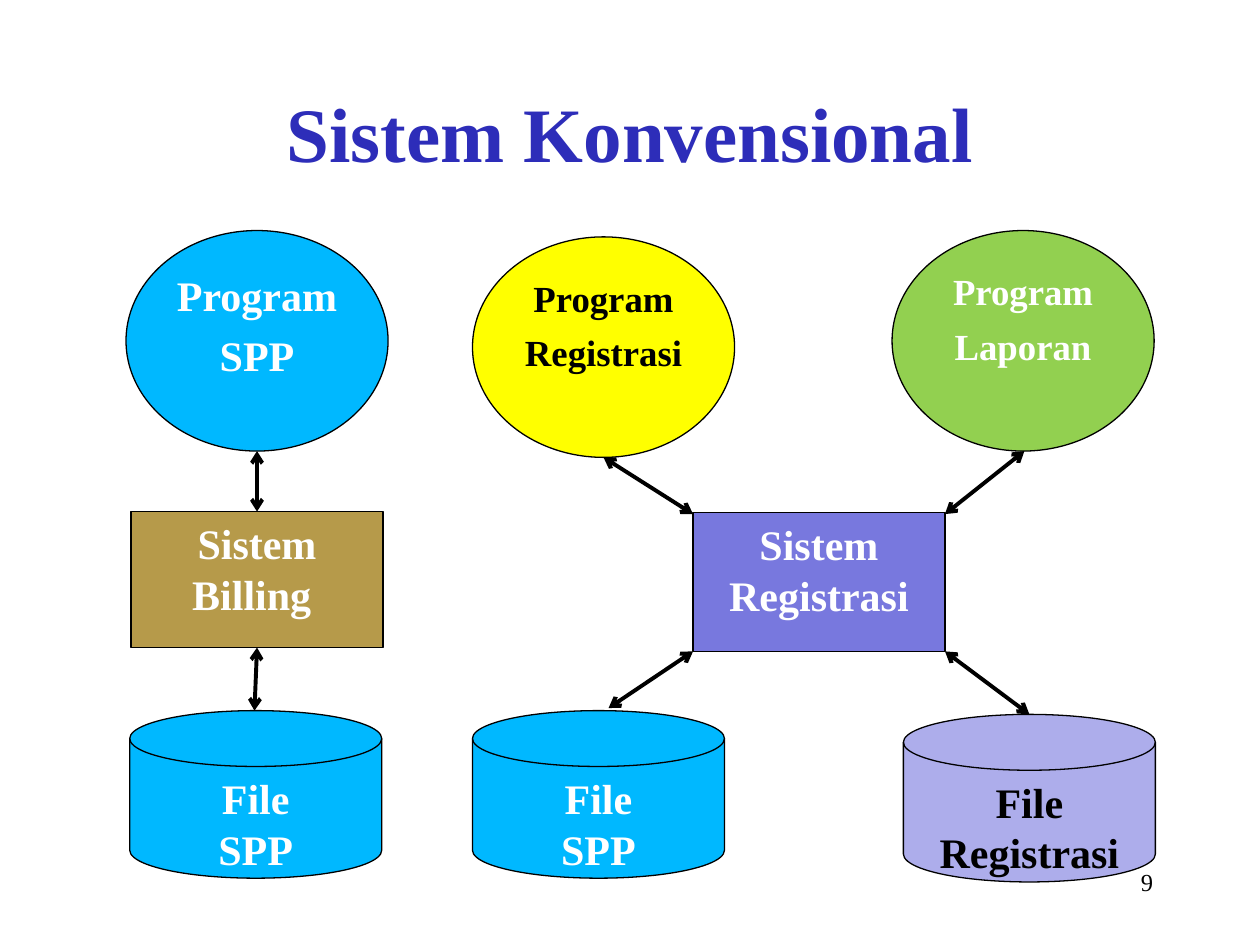
"""Build the slide on conventional systems: programs, systems and their files."""
from lxml import etree
from pptx import Presentation
from pptx.dml.color import RGBColor
from pptx.enum.shapes import MSO_CONNECTOR, MSO_SHAPE
from pptx.enum.text import MSO_ANCHOR, PP_ALIGN
from pptx.oxml.ns import qn
from pptx.util import Pt

PX = 9144
ELLIPSE = MSO_SHAPE.FLOWCHART_CONNECTOR
PROCESS = MSO_SHAPE.FLOWCHART_PROCESS
DISK = MSO_SHAPE.FLOWCHART_MAGNETIC_DISK
STRAIGHT = MSO_CONNECTOR.STRAIGHT
TOP, MIDDLE = MSO_ANCHOR.TOP, MSO_ANCHOR.MIDDLE
CENTER, RIGHT = PP_ALIGN.CENTER, PP_ALIGN.RIGHT

THEME = {
    "font": "Times New Roman",
    "title": "2D2DB9", "black": "000000", "white": "FFFFFF",
    "cyan": "00B8FF", "yellow": "FFFF00", "green": "92D050",
    "gold": "B69A4A", "violet": "7878DE", "lilac": "ADADEB",
    "title_size": 44, "large": 24, "medium": 21, "small": 14,
}


def color(name):
    return RGBColor.from_string(THEME[name])


def write(holder, lines, size, ink, align=CENTER, anchor=TOP, bold=True, gap=0):
    frame = holder.text_frame
    frame.word_wrap = True
    frame.vertical_anchor = anchor
    for index, line in enumerate(lines):
        paragraph = frame.add_paragraph() if index else frame.paragraphs[0]
        paragraph.alignment = align
        paragraph.space_before = Pt(gap if index else 0)
        run = paragraph.add_run()
        run.text = line
        run.font.name = THEME["font"]
        run.font.size = Pt(THEME[size])
        run.font.bold = bold
        run.font.color.rgb = color(ink)


presentation = Presentation()
presentation.slide_width = 1000 * PX
presentation.slide_height = 750 * PX
slide = presentation.slides.add_slide(presentation.slide_layouts[6])

title = slide.shapes.add_textbox(75 * PX, 42 * PX, 850 * PX, 125 * PX)
write(title, ["Sistem Konvensional"], "title_size", "title", anchor=MIDDLE)

nodes = [
    ("registration", PROCESS, (550, 407, 200, 110), "violet", ["Sistem Registrasi"], "large", "white"),
    ("billing", PROCESS, (104, 406, 200, 108), "gold", ["Sistem Billing "], "large", "white"),
    ("billing file", DISK, (103, 564, 200, 133), "cyan", ["File", "SPP"], "large", "white"),
    ("fee program", ELLIPSE, (100, 183, 208, 175), "cyan", ["Program", "SPP"], "large", "white"),
    ("fee file", DISK, (375, 564, 200, 133), "cyan", ["File", "SPP"], "large", "white"),
    ("registration file", DISK, (717, 567, 200, 133), "lilac", ["File", "Registrasi"], "large", "black"),
    ("registration program", ELLIPSE, (375, 188, 208, 175), "yellow", ["Program", "Registrasi"], "medium", "black"),
    ("report program", ELLIPSE, (708, 183, 208, 175), "green", ["Program", "Laporan"], "medium", "white"),
]
placed = {}
for key, kind, bounds, fill, lines, size, ink in nodes:
    node = slide.shapes.add_shape(kind, *(length * PX for length in bounds))
    node.shadow.inherit = False
    node.fill.solid()
    node.fill.fore_color.rgb = color(fill)
    node.line.color.rgb = color("black")
    node.line.width = Pt(0.75)
    write(node, lines, size, ink, gap=6 if kind == ELLIPSE else 0)
    placed[key] = node

billing = placed["billing"]
links = [
    ((204, 406), (204, 358), 0),
    ((204, 514), (202, 564), 2),
    ((550, 408), (479, 363), None),
    ((550, 517), (483, 562), None),
    ((750, 517), (817, 567), None),
    ((750, 408), (813, 358), None),
]
for start, end, billing_side in links:
    link = slide.shapes.add_connector(STRAIGHT, *(length * PX for length in start + end))
    link.line.color.rgb = color("black")
    link.line.width = Pt(2.25)
    if billing_side is not None:
        link.begin_connect(billing, billing_side)
    outline = link.line._get_or_add_ln()
    for arrowhead in ("a:headEnd", "a:tailEnd"):
        etree.SubElement(outline, qn(arrowhead), type="arrow")
    etree.SubElement(link._element.spPr, qn("a:effectLst"))

page_number = slide.shapes.add_textbox(717 * PX, 683 * PX, 208 * PX, 50 * PX)
write(page_number, ["9"], "small", "black", align=RIGHT, bold=False)

presentation.save("out.pptx")
